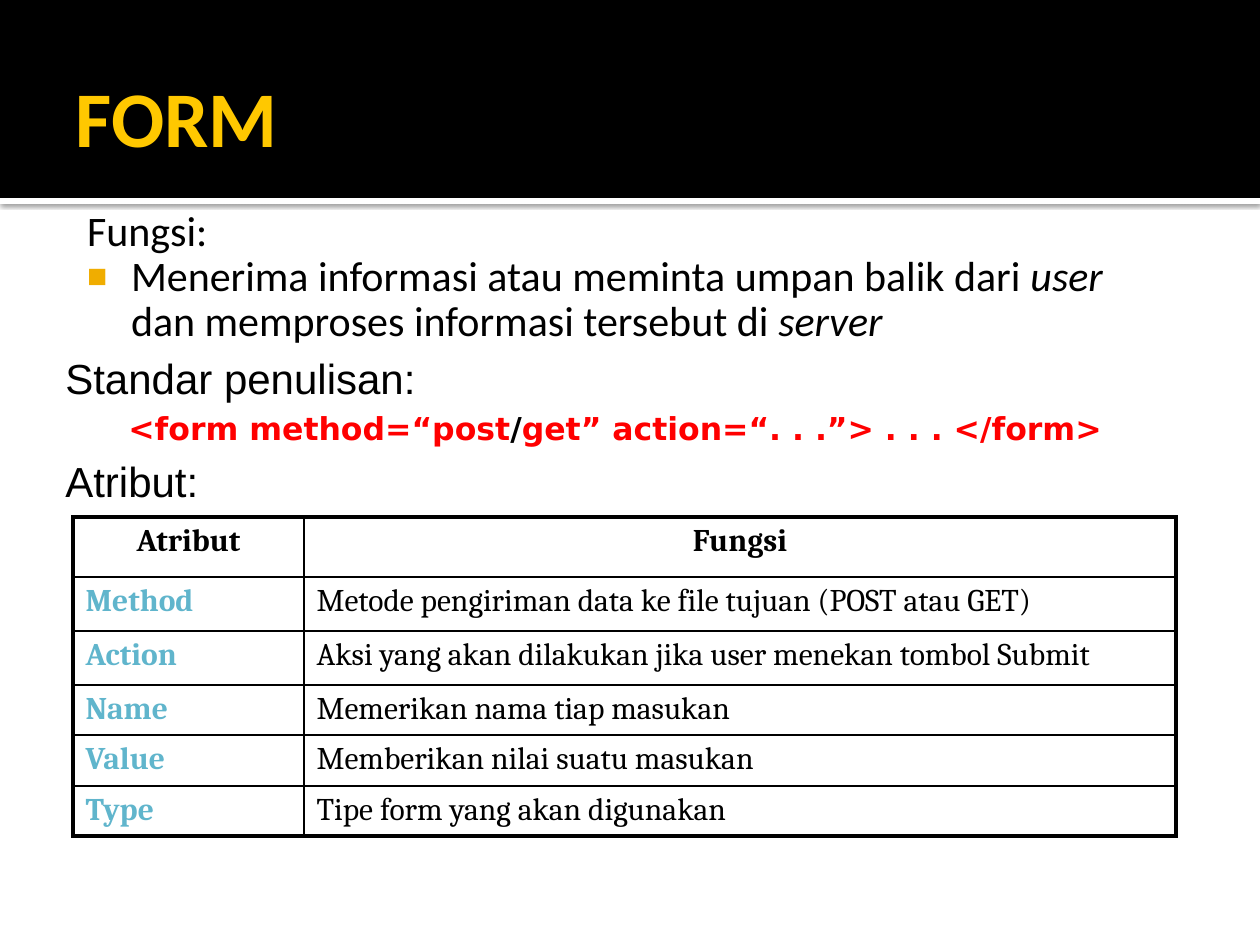
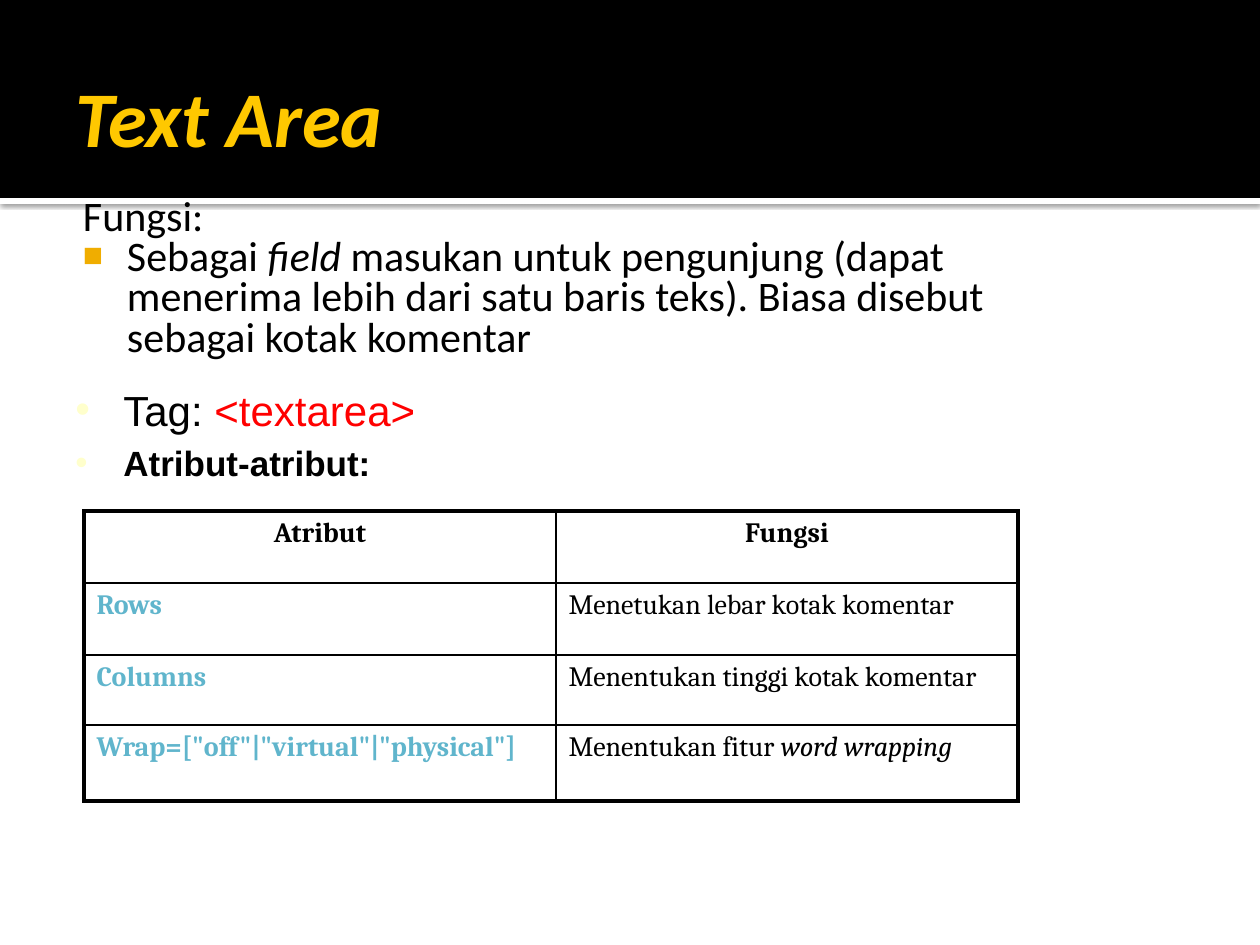
from lxml.etree import SubElement
from pptx import Presentation
from pptx.dml.color import RGBColor
from pptx.enum.shapes import MSO_SHAPE as SHAPE
from pptx.enum.text import MSO_ANCHOR as ANCHOR, MSO_AUTO_SIZE as FIT, PP_ALIGN as ALIGN
from pptx.oxml import parse_xml
from pptx.oxml.ns import nsdecls, qn
from pptx.util import Emu, Pt

PX = 914400 // 126
BLACK, WHITE, RED = "000000", "FFFFFF", "FF0000"
GOLD, AMBER, CREAM, TEAL = "FFC800", "F0AD00", "FFFFCC", "60B5CC"
THIN, THICK = 1, 2.25

# Run formats: size, name, bold, italic, color
TITLE = dict(size=45, name="Calibri", bold=True, color=GOLD)
LEAD = dict(size=24, name="Calibri", color=BLACK)
TEXT = dict(size=24, name="Arial", color=BLACK)
CODE = dict(size=18, name="DejaVu Sans", bold=True, color=RED)
CELL = dict(name="Cambria", color=BLACK)
IT = dict(italic=True)

# Bullets: character, colour, size in percent
SQUARE = ("■", AMBER, 80)
DOT = ("•", CREAM, 100)

# Paragraph formats: left margin and first-line indent in pixels
LEAD_P = dict(indent=(60, -44), before=0)
TEXT_P = dict(indent=(48, -48))
CODE_P = dict(indent=(102, -39), level=1)

# A paragraph is (paragraph format, run format, runs); a run is a string or (string, changes)
SLIDES = [
    dict(
        title=("FORM", {}),
        body=dict(at=(63, 197, 1113, 150), spacing=0.9, paragraphs=[
            (LEAD_P, LEAD, ["Fungsi:"]),
            (LEAD_P | dict(bullet=SQUARE), LEAD, [
                "Menerima informasi atau meminta umpan balik dari ", ("user ", IT),
                "dan memproses informasi tersebut di ", ("server", IT)]),
        ]),
        box=dict(at=(53, 346, 1134, 136), paragraphs=[
            (TEXT_P, TEXT, ["Standar penulisan:"]),
            (CODE_P, CODE, ["<form method=“post", ("/", dict(color=BLACK)),
                            "get” action=“. . .”> . . . </form>"]),
            (TEXT_P, TEXT, ["Atribut:"]),
        ]),
        table=dict(at=(73, 517), cols=(231, 872), rows=(60, 54, 54, 50, 51, 50), size=18, cells=[
            ("Atribut", ["Fungsi"]),
            ("Method", ["Metode pengiriman data ke file tujuan (POST atau GET)"]),
            ("Action", ["Aksi yang akan dilakukan jika user menekan tombol Submit"]),
            ("Name", ["Memerikan nama tiap masukan"]),
            ("Value", ["Memberikan nilai suatu masukan"]),
            ("Type", ["Tipe form yang akan digunakan"]),
        ]),
    ),
    dict(
        title=("Text Area", IT),
        body=dict(at=(59, 186, 1050, 189), spacing=0.8, paragraphs=[
            (LEAD_P, LEAD, ["Fungsi:"]),
            (LEAD_P | dict(bullet=SQUARE), LEAD, [
                "Sebagai ", ("field ", IT),
                "masukan untuk pengunjung (dapat menerima lebih dari satu baris teks). "
                "Biasa disebut sebagai kotak komentar"]),
        ]),
        box=dict(at=(63, 378, 1134, 105), paragraphs=[
            (TEXT_P | dict(bullet=DOT), TEXT, ["Tag: ", ("<textarea>", dict(color=RED))]),
            (TEXT_P | dict(bullet=DOT), TEXT | dict(size=20, bold=True), ["Atribut-atribut:"]),
        ]),
        table=dict(at=(84, 511), cols=(472, 462), rows=(72, 72, 70, 76), size=16, cells=[
            ("Atribut", ["Fungsi"]),
            ("Rows", ["Menetukan lebar kotak komentar"]),
            ("Columns", ["Menentukan tinggi kotak komentar"]),
            ('Wrap=["off"|"virtual"|"physical"]',
             ["Menentukan fitur ", ("word wrapping", IT)]),
        ]),
    ),
]


def px(n):
    """Turn pixels into EMU."""
    return Emu(round(n * PX))


def rgb(value):
    """Turn a hex string into a colour."""
    return RGBColor.from_string(value)


def place(s, at):
    """Move and size a shape."""
    for key, value in zip(("left", "top", "width", "height"), at):
        setattr(s, key, px(value))


def set_frame(tf, **values):
    """Set wrapping and any other text frame properties."""
    for key, value in dict(word_wrap=True, auto_size=FIT.NONE, **values).items():
        setattr(tf, key, value)


def add_runs(p, fmt, runs):
    """Add runs that share a format, each with its own changes."""
    for run in runs:
        text, changes = (run, {}) if isinstance(run, str) else run
        r = p.add_run()
        r.text = text
        for key, value in (dict(bold=False, italic=False) | fmt | changes).items():
            if key == "color":
                r.font.color.rgb = rgb(value)
            else:
                setattr(r.font, key, Pt(value) if key == "size" else value)


def format_paragraph(p, indent=(0, 0), before=20, bullet=None, level=0, spacing=1.0,
                     align=ALIGN.LEFT):
    """Set indents, percentage spacing and the bullet of a paragraph."""
    for key, value in dict(level=level, alignment=align, line_spacing=spacing).items():
        setattr(p, key, value)
    ppr = p._p.get_or_add_pPr()
    for key, value in zip(("marL", "indent"), indent):
        ppr.set(key, str(px(value)))
    SubElement(SubElement(ppr, qn("a:spcBef")), qn("a:spcPct"), val=str(before * 1000))
    if not bullet:
        SubElement(ppr, qn("a:buNone"))
        return
    char, color, percent = bullet
    SubElement(SubElement(ppr, qn("a:buClr")), qn("a:srgbClr"), val=color)
    SubElement(ppr, qn("a:buSzPct"), val=str(percent * 1000))
    SubElement(ppr, qn("a:buFont"), typeface="Arial")
    SubElement(ppr, qn("a:buChar"), char=char)


def add_paragraphs(tf, paragraphs, spacing=1.0):
    """Fill a text frame with formatted paragraphs."""
    for i, (layout_fmt, run_fmt, runs) in enumerate(paragraphs):
        p = tf.add_paragraph() if i else tf.paragraphs[0]
        format_paragraph(p, spacing=spacing, **layout_fmt)
        add_runs(p, run_fmt, runs)


def add_bands(slide, layout):
    """Draw the title band and its shadowed strip once, on the shared layout."""
    bands = [((0, 198, 1260, 6), WHITE), ((0, 0, 1260, 198), BLACK)]
    for i, (at, color) in enumerate(bands):
        s = slide.shapes.add_shape(SHAPE.RECTANGLE, *map(px, at))
        s.shadow.inherit = False
        s.fill.solid()
        s.fill.fore_color.rgb = rgb(color)
        s.line.fill.background()
        if color == WHITE:
            effects = s.element.spPr.find(qn("a:effectLst"))
            shadow = SubElement(effects, qn("a:outerShdw"), blurRad=str(Pt(2.5)),
                                dist=str(Pt(0.8)), dir="5400000", rotWithShape="0")
            tint = SubElement(shadow, qn("a:srgbClr"), val=BLACK)
            SubElement(tint, qn("a:alpha"), val="60000")
        s.element.nvSpPr.cNvPr.set("id", str(20 + i))
        layout.shapes.element.insert(2 + i, s.element)


def add_borders(cell, row, col, last_row, last_col):
    """Draw thick borders on the outside of the table and thin ones inside."""
    outer = dict(L=col == 0, R=col == last_col, T=row == 0, B=row == last_row)
    tcpr = cell._tc.get_or_add_tcPr()
    for i, (side, is_outer) in enumerate(outer.items()):
        width = Pt(THICK if is_outer else THIN)
        tcpr.insert(i, parse_xml(
            f'<a:ln{side} {nsdecls("a")} w="{width}"><a:solidFill>'
            f'<a:srgbClr val="{BLACK}"/></a:solidFill></a:ln{side}>'))


def add_attributes(slide, at, cols, rows, size, cells):
    """Add a table of attributes with a centred bold header row."""
    table = slide.shapes.add_table(len(rows), len(cols), *map(px, at),
                                   px(sum(cols)), px(sum(rows))).table
    table.first_row = table.horz_banding = False
    for column, width in zip(table.columns, cols):
        column.width = px(width)
    for r, (name, meaning) in enumerate(cells):
        table.rows[r].height = px(rows[r])
        for c, runs in enumerate(([name], meaning)):
            cell = table.cell(r, c)
            cell.fill.background()
            add_borders(cell, r, c, len(rows) - 1, len(cols) - 1)
            header = r == 0
            fmt = CELL | dict(size=size, bold=header or c == 0)
            if c == 0 and not header:
                fmt["color"] = TEAL
            p = cell.text_frame.paragraphs[0]
            format_paragraph(p, align=ALIGN.CENTER if header else ALIGN.LEFT)
            add_runs(p, fmt, runs)


def build_slide(prs, layout, title, body, box, table):
    """Build one slide from its content."""
    slide = prs.slides.add_slide(layout)
    s = slide.shapes.title
    place(s, (63, 38, 1134, 157))
    set_frame(s.text_frame, vertical_anchor=ANCHOR.MIDDLE, margin_right=px(6))
    add_paragraphs(s.text_frame, [(dict(before=0), TITLE, [title])])

    s = slide.placeholders[1]
    place(s, body["at"])
    set_frame(s.text_frame, vertical_anchor=ANCHOR.TOP, margin_left=px(8), margin_top=px(13))
    add_paragraphs(s.text_frame, body["paragraphs"], body["spacing"])

    s = slide.shapes.add_textbox(*map(px, box["at"]))
    set_frame(s.text_frame)
    add_paragraphs(s.text_frame, box["paragraphs"])
    add_attributes(slide, **table)
    return slide


prs = Presentation()
prs.slide_width, prs.slide_height = px(1260), px(945)
layout = prs.slide_layouts[1]
slides = [build_slide(prs, layout, **content) for content in SLIDES]
add_bands(slides[0], layout)
prs.save("out.pptx")
